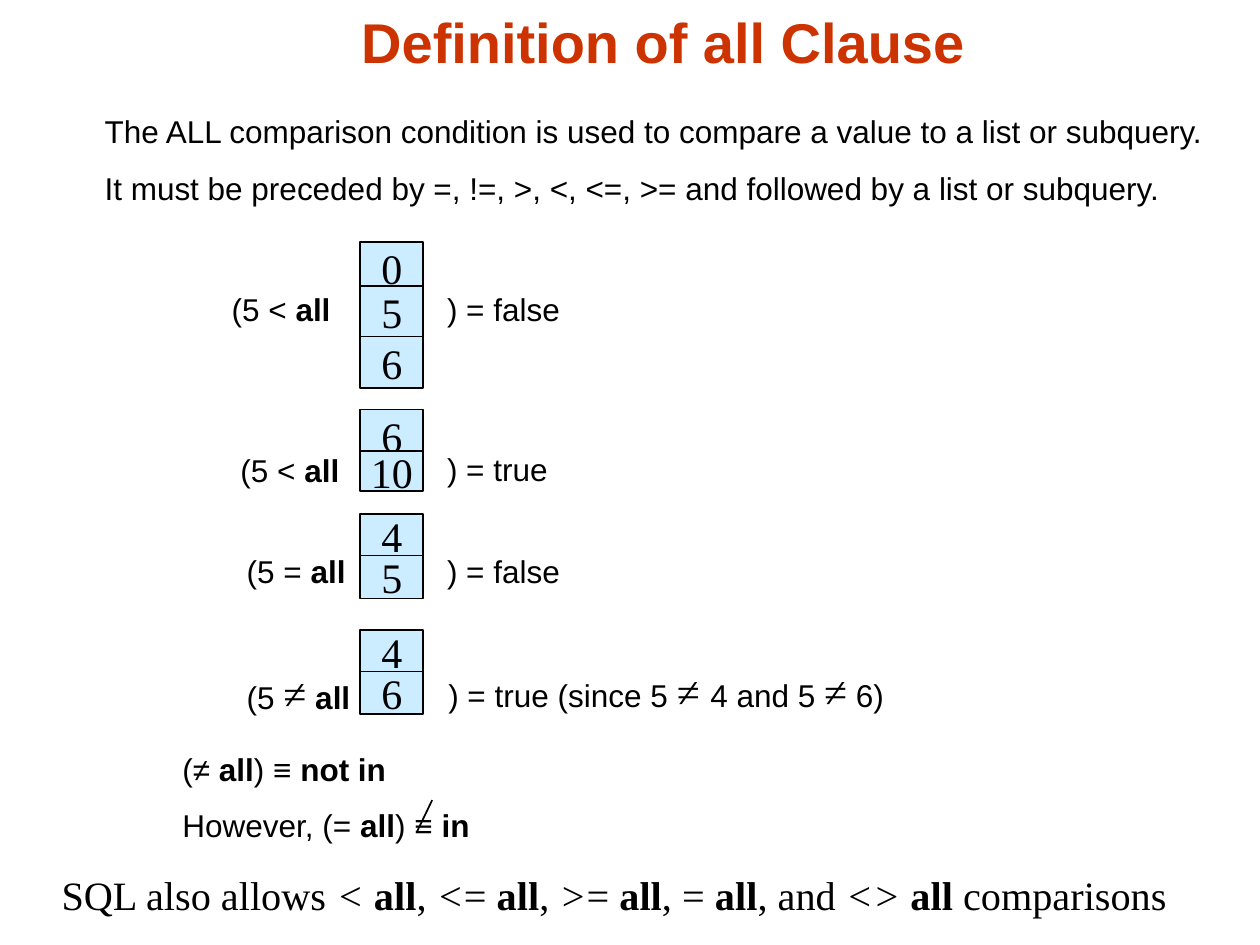
"""Build a slide that defines the SQL all clause with worked comparisons."""
from dataclasses import dataclass

from lxml.etree import SubElement
from pptx import Presentation
from pptx.dml.color import RGBColor
from pptx.enum.shapes import MSO_CONNECTOR as Connector, MSO_SHAPE as Shape
from pptx.enum.text import MSO_ANCHOR as Anchor, MSO_AUTO_SIZE as AutoSize, PP_ALIGN as Align
from pptx.oxml.ns import qn
from pptx.util import Inches, Pt

COLORS = {"title": "CC3300", "ink": "000000", "cell": "CCECFF"}
SANS, SERIF = "Arial", "Times New Roman"
CELL_LEFT, CELL_WIDTH = 2.86, 0.5


@dataclass(frozen=True)
class Span:
    text: str
    bold: bool = False
    italic: bool = False
    symbol: bool = False


@dataclass(frozen=True)
class Label:
    left: float
    top: float
    width: float
    height: float
    spans: tuple[Span, ...]


@dataclass(frozen=True)
class Cell:
    value: str
    top: float
    height: float


@dataclass(frozen=True)
class Comparison:
    condition: Label
    cells: tuple[Cell, ...]
    result: Label


ALL = Span("all", bold=True)
NOT_EQUAL = Span("≠", symbol=True)

COMPARISONS = (
    Comparison(
        Label(1.74, 2.25, 1.33, 0.4, (Span("(5 < "), ALL)),
        (Cell("0", 1.92, 0.41), Cell("5", 2.27, 0.41), Cell("6", 2.67, 0.41)),
        Label(3.45, 2.25, 1.33, 0.4, (Span(") = false"),)),
    ),
    Comparison(
        Label(1.81, 3.53, 1.33, 0.4, (Span("(5 < "), ALL)),
        (Cell("6", 3.25, 0.42), Cell("10", 3.58, 0.32)),
        Label(3.45, 3.52, 1.33, 0.4, (Span(") = true"),)),
    ),
    Comparison(
        Label(1.86, 4.33, 1.33, 0.4, (Span("(5 = "), ALL)),
        (Cell("4", 4.08, 0.34), Cell("5", 4.41, 0.34)),
        Label(3.45, 4.33, 1.33, 0.4, (Span(") = false"),)),
    ),
    Comparison(
        Label(1.86, 5.25, 1.83, 0.5, (Span("(5 "), NOT_EQUAL, Span(" "), ALL)),
        (Cell("4", 5, 0.34), Cell("6", 5.33, 0.34)),
        Label(3.46, 5.23, 5, 0.5, (
            Span(") = true (since 5 "), Span("≠ ", symbol=True), Span("4 and 5 "),
            NOT_EQUAL, Span(" 6)"))),
    ),
)

INTRODUCTION = (
    (Span("The ALL comparison condition is used to compare a value to a list or subquery."),),
    (Span("It must be preceded by =, !=, >, <, <=, >= and followed by a list or subquery."),),
)
EQUIVALENCES = (
    (Span("(≠ "), ALL, Span(") ≡ "), Span("not in", bold=True)),
    (Span("However, (= "), ALL, Span(") ≡ "), Span("in", bold=True)),
)
SUMMARY = (
    Span("SQL also allows "), Span("< ", italic=True), ALL, Span(", "),
    Span("<", italic=True), Span("= "), ALL, Span(", "),
    Span(">", italic=True), Span("= "), ALL, Span(", = "), ALL, Span(", and "),
    Span("<> ", italic=True), Span("all ", bold=True), Span("comparisons"),
)


def color(name: str) -> RGBColor:
    return RGBColor.from_string(COLORS[name])


def style_font(font, name: str, size: float, ink: str = "ink") -> None:
    font.name, font.size = name, Pt(size)
    font.color.rgb = color(ink)


def place(shape, left: float, top: float, width: float, height: float) -> None:
    shape.left, shape.top = Inches(left), Inches(top)
    shape.width, shape.height = Inches(width), Inches(height)


def write_paragraphs(frame, lines: tuple, font_name: str = SANS, size: float = 18,
                     spacing: float = 1.0) -> None:
    frame.word_wrap = True
    frame.auto_size = AutoSize.NONE
    for index, spans in enumerate(lines):
        para = frame.add_paragraph() if index else frame.paragraphs[0]
        para.line_spacing = spacing
        para.space_before = Pt(0)
        style_font(para.font, font_name, size)
        for span in spans:
            run = para.add_run()
            run.text = span.text
            run.font.bold, run.font.italic = span.bold, span.italic
            if span.symbol:
                run.font.name, run.font.size = SERIF, Pt(24)


def add_label(slide, label: Label) -> None:
    box = slide.shapes.add_textbox(Inches(label.left), Inches(label.top),
                                   Inches(label.width), Inches(label.height))
    write_paragraphs(box.text_frame, (label.spans,))


def add_cell(slide, cell: Cell) -> None:
    box = slide.shapes.add_shape(Shape.RECTANGLE, Inches(CELL_LEFT), Inches(cell.top),
                                 Inches(CELL_WIDTH), Inches(cell.height))
    box.shadow.inherit = False
    box.fill.solid()
    box.fill.fore_color.rgb = color("cell")
    box.line.color.rgb = color("ink")
    box.line.width = Pt(1)
    frame = box.text_frame
    frame.word_wrap = False
    frame.vertical_anchor = Anchor.MIDDLE
    para = frame.paragraphs[0]
    para.text, para.alignment = cell.value, Align.CENTER
    style_font(para.font, SERIF, 24)


def add_title(slide) -> None:
    title = slide.shapes.title
    place(title, 0.85, -0.03, 8.83, 0.67)
    frame = title.text_frame
    frame.auto_size = AutoSize.NONE
    frame.vertical_anchor = Anchor.BOTTOM
    para = frame.paragraphs[0]
    para.text, para.alignment = "Definition of all Clause", Align.CENTER
    style_font(para.font, SANS, 32, "title")
    para.font.bold = True


def add_introduction(slide) -> None:
    body = slide.placeholders[1]
    place(body, 0.73, 0.69, 8.95, 0.95)
    write_paragraphs(body.text_frame, INTRODUCTION, spacing=1.5)
    for para in body.text_frame.paragraphs:
        properties = para._p.get_or_add_pPr()
        properties.set("marL", "0")
        properties.set("indent", "0")
        bullet = SubElement(properties, qn("a:buNone"))
        properties.find(qn("a:defRPr")).addprevious(bullet)


def add_slash(slide) -> None:
    slash = slide.shapes.add_connector(Connector.STRAIGHT, Inches(3.43), Inches(6.35),
                                       Inches(3.31), Inches(6.6))
    slash.line.color.rgb = color("ink")
    slash.line.width = Pt(1)
    SubElement(slash._element.spPr, qn("a:effectLst"))


def main() -> None:
    deck = Presentation()
    deck.slide_width, deck.slide_height = Inches(10), Inches(7.5)
    slide = deck.slides.add_slide(deck.slide_layouts[1])
    add_title(slide)
    add_introduction(slide)
    for comparison in COMPARISONS:
        for cell in comparison.cells:
            add_cell(slide, cell)
        add_label(slide, comparison.condition)
        add_label(slide, comparison.result)
    box = slide.shapes.add_textbox(Inches(1.35), Inches(5.75), Inches(7.44), Inches(0.78))
    write_paragraphs(box.text_frame, EQUIVALENCES, spacing=1.5)
    add_slash(slide)
    box = slide.shapes.add_textbox(Inches(0.39), Inches(6.86), Inches(9.22), Inches(0.49))
    write_paragraphs(box.text_frame, (SUMMARY,), SERIF, 23)
    deck.save("out.pptx")


if __name__ == "__main__":
    main()
